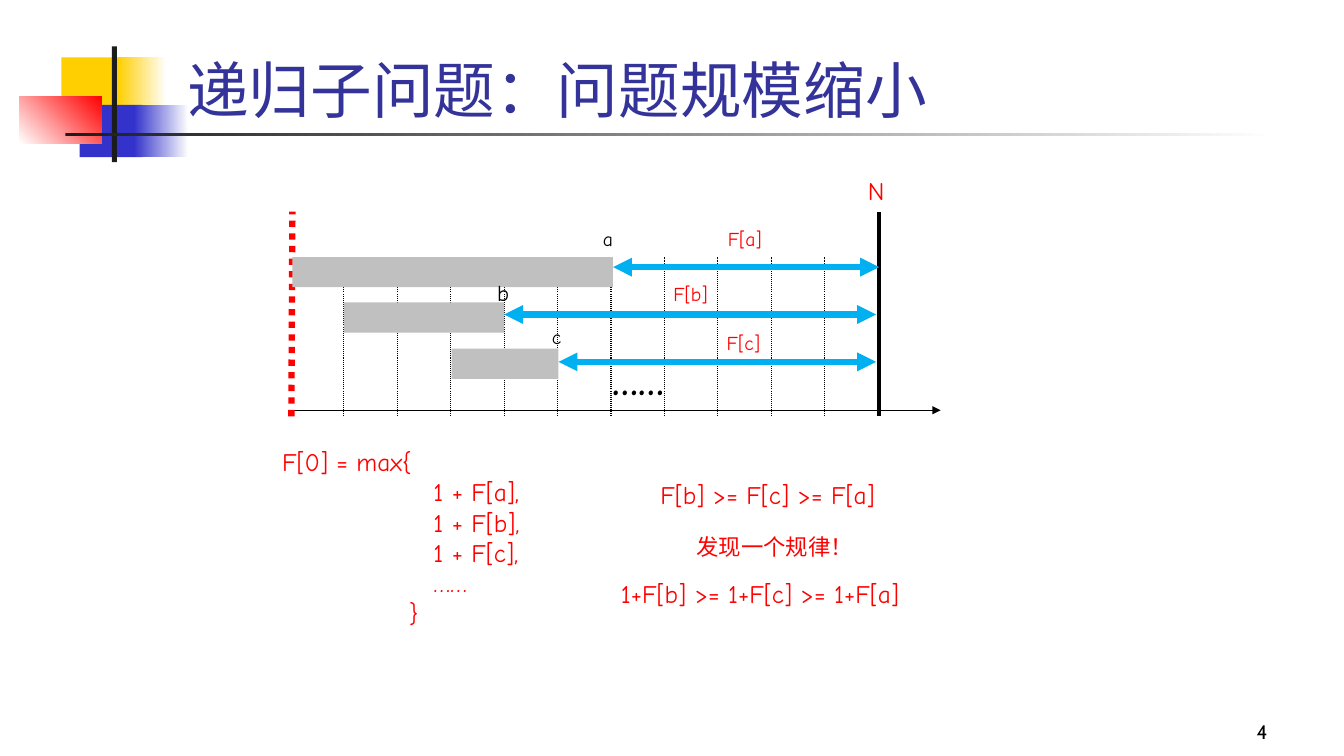
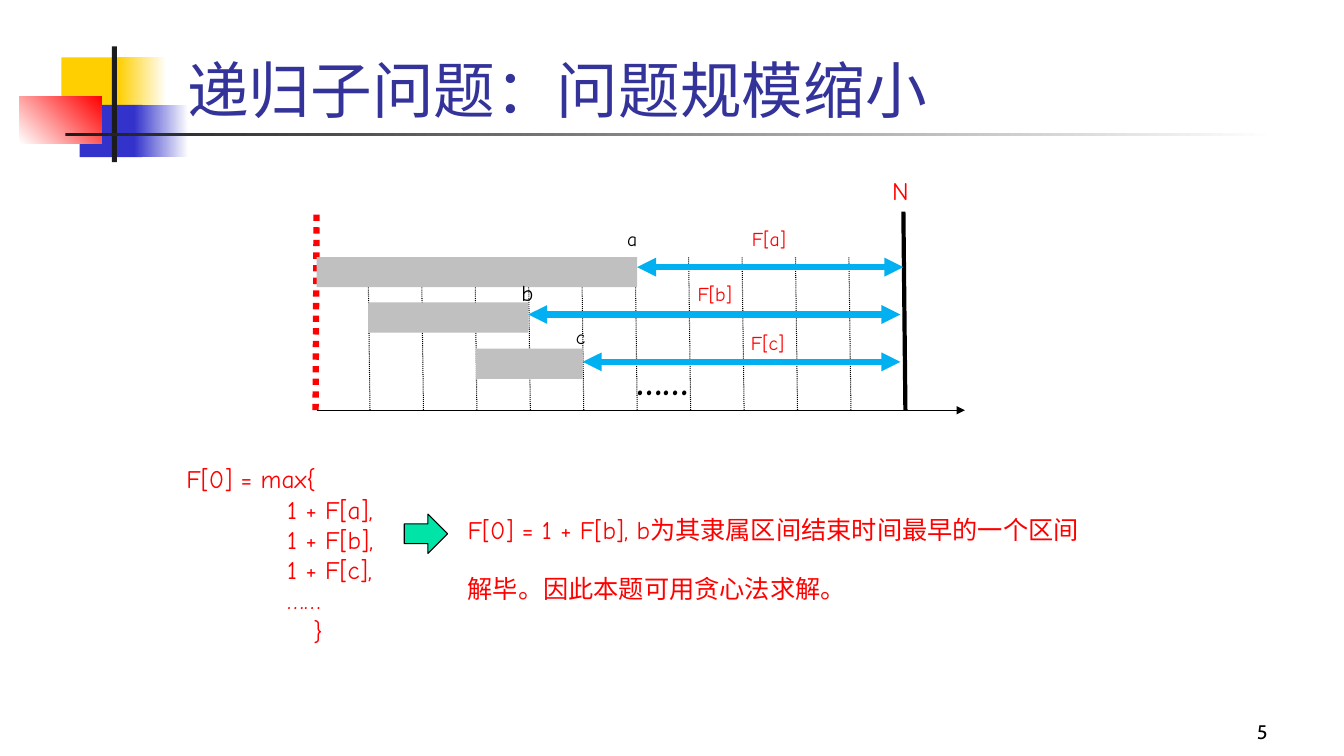
from dataclasses import dataclass

from pptx import Presentation
from pptx.dml.color import RGBColor
from pptx.enum import dml, shapes, text
from pptx.oxml.ns import qn
from pptx.util import Inches, Pt
from lxml import etree


@dataclass(frozen=True)
class Theme:
    title_font: str = "Cabin"
    body_font: str = "Comic Neue"
    title_size: int = 44
    dots_size: int = 28
    body_size: int = 18
    note_size: int = 16
    label_size: int = 14
    title: str = "333399"
    black: str = "000000"
    white: str = "FFFFFF"
    red: str = "FF0000"
    yellow: str = "FFCF01"
    blue: str = "3333CC"
    ink: str = "1C1C1C"
    grey: str = "C0C0C0"
    arrow: str = "00B0F0"
    green: str = "00E4A8"


theme = Theme()
rgb = RGBColor.from_string


def write(page, box, lines, size, color, font=theme.body_font, align=text.PP_ALIGN.LEFT,
          anchor=text.MSO_ANCHOR.TOP, wrap=True, bold=False, gap=0, indents=()):
    """Add a text box; gap is points between paragraphs, indents are inches per line."""
    frame = page.shapes.add_textbox(*map(Inches, box)).text_frame
    frame.word_wrap = wrap
    frame.vertical_anchor = anchor
    for index, line in enumerate(lines):
        para = frame.paragraphs[0] if index == 0 else frame.add_paragraph()
        para.alignment = align
        if index and gap:
            para.space_before = Pt(gap)
        if indents and indents[index]:
            para._p.get_or_add_pPr().set("marL", str(Inches(indents[index])))
        span = para.add_run()
        span.text = line
        span.font.name = font
        span.font.size = Pt(size)
        span.font.bold = bold
        span.font.color.rgb = rgb(color)


def connect(page, start, end, color, width, dotted=False, heads=()):
    """Draw a straight line; heads names the ends that carry a triangle."""
    link = page.shapes.add_connector(shapes.MSO_CONNECTOR.STRAIGHT, *map(Inches, (*start, *end)))
    link.line.color.rgb = rgb(color)
    link.line.width = Pt(width)
    if dotted:
        link.line.dash_style = dml.MSO_LINE.ROUND_DOT
    for head in heads:
        etree.SubElement(link.line._get_or_add_ln(), qn(f"a:{head}")).set("type", "triangle")
    etree.SubElement(link._element.spPr, qn("a:effectLst"))


# box, first colour, last colour, gradient angle
HEADER = [
    ((0.61, 0.57, 0.64, 0.52), theme.yellow, None, 0),
    ((1.17, 0.57, 0.48, 0.52), theme.yellow, theme.white, 0),
    ((0.79, 1.04, 0.62, 0.52), theme.blue, None, 0),
    ((1.33, 1.04, 0.54, 0.52), theme.blue, theme.white, 0),
    ((0.19, 0.96, 0.82, 0.46), theme.white, theme.red, 45),
    ((1.11, 0.46, 0.05, 1.15), theme.ink, None, 0),
    ((0.65, 1.32, 12, 0.03), theme.ink, theme.white, 0),
]
# name, bar (left, top, width), name (centre, top, size), F label (left, top), arrow (y, end)
INTERVALS = [
    ("a", (2.9, 2.55, 3.18), (6.03, 2.2, theme.label_size), (7.12, 2.2), (2.65, 8.72)),
    ("b", (3.41, 3, 1.59), (4.99, 2.72, theme.note_size), (6.58, 2.75), (3.12, 8.69)),
    ("c", (4.48, 3.46, 1.06), (5.52, 3.17, theme.label_size), (7.11, 3.23), (3.59, 8.69)),
]
FORMULA = ["F[0] = max{", "1 + F[a],", "1 + F[b],", "1 + F[c],", "……", "}"]
# number, diagram shift, foot of the vertical lines, their lean, formula place, indents
PAGES = [
    ("4", 0, 4.13, 0, (2.7, 4.38), (1.5, 1.26)),
    ("5", 0.24, 4.07, 0.02, (1.75, 4.55), (1, 1.26)),
]
GUIDES, GUIDE_LEFT, GUIDE_STEP = 10, 3.41, 0.53
AXIS_Y, BAR_HEIGHT = 4.07, 0.3

deck = Presentation()
deck.slide_width, deck.slide_height = Inches(13.33), Inches(7.5)
pages = []

for number, shift, foot, lean, formula_at, (step, close) in PAGES:
    page = deck.slides.add_slide(deck.slide_layouts[6])
    pages.append(page)

    # Axis and vertical lines
    connect(page, (2.9 + shift, AXIS_Y), (9.33 + shift, AXIS_Y), theme.black, 1, heads=["tailEnd"])
    for index in range(GUIDES):
        left = GUIDE_LEFT + index * GUIDE_STEP + shift
        connect(page, (left + lean, foot), (left, 2.55), theme.black, 0.75, dotted=True)
    connect(page, (2.89 + shift, foot), (2.9 + shift, 2.1), theme.red, 4.5, dotted=True)

    # Header blocks and interval bars
    bars = [((left + shift, top, width, BAR_HEIGHT), theme.grey, None, 0)
            for _, (left, top, width), *_ in INTERVALS]
    for place, first, last, angle in HEADER + bars:
        block = page.shapes.add_shape(shapes.MSO_SHAPE.RECTANGLE, *map(Inches, place))
        block.shadow.inherit = False
        block.line.fill.background()
        if last:
            block.fill.gradient()
            block.fill.gradient_angle = angle
            for stop, color in zip(block.fill.gradient_stops, (first, last)):
                stop.color.rgb = rgb(color)
        else:
            block.fill.solid()
            block.fill.fore_color.rgb = rgb(first)

    write(page, (1.76, 0.05, 11.36, 1.25), ["递归子问题：问题规模缩小"], theme.title_size,
          theme.title, theme.title_font, anchor=text.MSO_ANCHOR.BOTTOM)
    write(page, (9.89, 6.92, 2.78, 0.5), [number], theme.label_size, theme.black,
          theme.title_font, text.PP_ALIGN.RIGHT, text.MSO_ANCHOR.BOTTOM)

    # End of the range
    connect(page, (8.72 + shift + lean, foot), (8.72 + shift, 2.1), theme.black, 3)
    write(page, (8.51 + shift, 1.69, 0.41, 0.4), ["N"], theme.body_size, theme.red)
    write(page, (5.97 + shift, 3.49, 0.75, 0.57), ["……"], theme.dots_size, theme.black,
          wrap=False, bold=True)

    # Remaining range after each interval
    for name, (left, _, width), (centre, top, size), (f_left, f_top), (y, end) in INTERVALS:
        connect(page, (left + width + shift, y), (end + shift, y), theme.arrow, 4.5,
                heads=["headEnd", "tailEnd"])
        write(page, (f_left + shift, f_top, 0.7, 0.34), [f"F[{name}]"], theme.label_size, theme.red)
        write(page, (centre - 0.25 + shift, top, 0.5, 0.34), [name], size, theme.black,
              align=text.PP_ALIGN.CENTER)

    write(page, (*formula_at, 2.72, 1.92), FORMULA, theme.body_size, theme.red,
          indents=(0, step, step, step, step, close))

compare, solve = pages

write(compare, (6.45, 4.71, 2.39, 0.4), ["F[b] >= F[c] >= F[a]"], theme.body_size, theme.red)
write(compare, (6.81, 5.24, 1.77, 0.37), ["发现一个规律！"], theme.note_size, theme.red, wrap=False)
write(compare, (6.06, 5.69, 3.31, 0.4), ["1+F[b] >= 1+F[c] >= 1+F[a]"], theme.body_size, theme.red)

write(solve, (4.54, 5.05, 6.57, 1.12),
      ["F[0] = 1 + F[b], b为其隶属区间结束时间最早的一个区间", "解毕。因此本题可用贪心法求解。"],
      theme.body_size, theme.red, gap=21)
pointer = solve.shapes.add_shape(shapes.MSO_SHAPE.RIGHT_ARROW,
                                 *map(Inches, (4.01, 5.1, 0.43, 0.39)))
pointer.shadow.inherit = False
pointer.fill.solid()
pointer.fill.fore_color.rgb = rgb(theme.green)
pointer.line.color.rgb = rgb(theme.black)
pointer.line.width = Pt(0.75)

deck.save("out.pptx")
